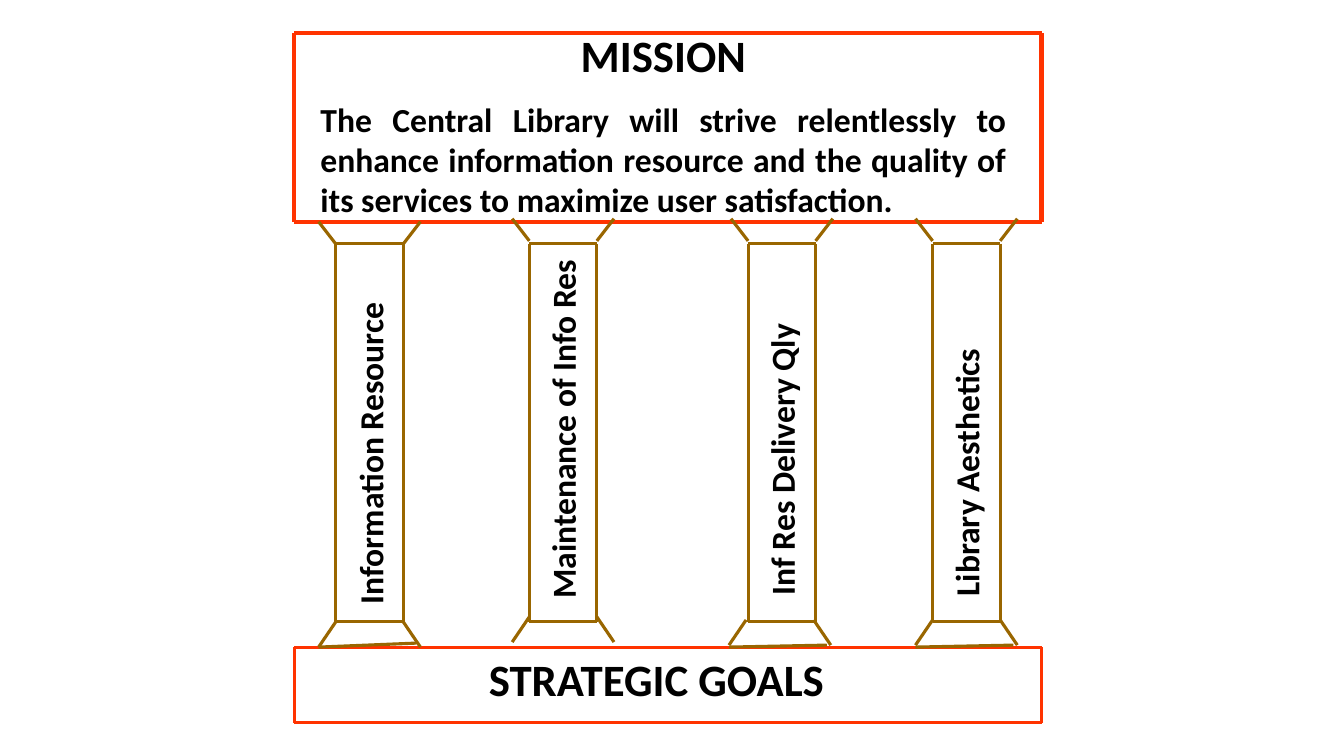
from pptx import Presentation
from pptx.dml.color import RGBColor
from pptx.enum.shapes import MSO_CONNECTOR
from pptx.enum.text import MSO_AUTO_SIZE, PP_ALIGN
from pptx.oxml.ns import qn
from pptx.util import Inches, Pt
from lxml import etree

STRAIGHT = MSO_CONNECTOR.STRAIGHT
LEFT, CENTER, JUSTIFY = PP_ALIGN.LEFT, PP_ALIGN.CENTER, PP_ALIGN.JUSTIFY
FIT_SHAPE = MSO_AUTO_SIZE.SHAPE_TO_FIT_TEXT
RED = RGBColor(0xFF, 0x33, 0x00)
BROWN = RGBColor(0x99, 0x66, 0x00)
BLACK = RGBColor(0x00, 0x00, 0x00)
FONT = "Calibri"

PILLAR_W, PILLAR_TOP, PILLAR_BOTTOM = 0.67, 2.42, 6.17
FLARE, CAP_H, FOOT_H = 0.17, 0.22, 0.25
LABEL_H = 0.5


class TempleSlide:
    """Draws the temple diagram with one shared style on one slide."""

    def __init__(self, prs):
        self.s = prs.slides.add_slide(prs.slide_layouts[6])

    def line(self, x1, y1, x2, y2, color, width):
        c = self.s.shapes.add_connector(
            STRAIGHT, Inches(x1), Inches(y1), Inches(x2), Inches(y2))
        c.line.color.rgb = color
        c.line.width = Pt(width)
        etree.SubElement(c._element.spPr, qn("a:effectLst"))

    def box(self, left, top, right, bottom, color, width):
        for x in (left, right):
            self.line(x, top, x, bottom, color, width)
        for y in (top, bottom):
            self.line(left, y, right, y, color, width)

    def text(self, x, y, w, h, paragraphs, rotation=0, indent=0):
        sp = self.s.shapes.add_textbox(Inches(x), Inches(y), Inches(w), Inches(h))
        sp.rotation = rotation
        tf = sp.text_frame
        tf.word_wrap = True
        tf.auto_size = FIT_SHAPE
        tf.margin_left = Inches(0.1 + indent)
        for i, (words, size, align, before) in enumerate(paragraphs):
            p = tf.add_paragraph() if i else tf.paragraphs[0]
            p.alignment = align
            if before:
                p.space_before = Pt(before)
            r = p.add_run()
            r.text = words
            r.font.name = FONT
            r.font.size = Pt(size)
            r.font.bold = True
            r.font.color.rgb = BLACK

    def pillar(self, x, cap_y, foot_y, foot_shift, base_rise):
        right = x + PILLAR_W
        self.box(x, PILLAR_TOP, right, PILLAR_BOTTOM, BROWN, 2.25)
        for edge, out in ((x, -FLARE), (right, FLARE)):
            self.line(edge + out, cap_y, edge, cap_y + CAP_H, BROWN, 2.25)
            foot = edge + foot_shift
            self.line(foot, foot_y, foot + out, foot_y + FOOT_H, BROWN, 2.25)
        if base_rise:
            start = x + foot_shift - FLARE
            self.line(start, 6.42, start + 0.97, 6.42 - base_rise, BROWN, 2.25)

    def label(self, words, center_x, center_y, length, indent):
        self.text(center_x - length / 2, center_y - LABEL_H / 2, length, LABEL_H,
                  [(words, 24, LEFT, 0)], 270, indent)


def main():
    prs = Presentation()
    prs.slide_width, prs.slide_height = Inches(13.33), Inches(7.5)
    temple = TempleSlide(prs)

    temple.box(2.92, 0.33, 10.33, 2.2, RED, 3)
    temple.text(3.08, 0.23, 7, 2.03, [
        ("MISSION", 32, CENTER, 0),
        ("The Central Library will strive relentlessly to enhance information "
         "resource and the quality of its services to maximize user satisfaction.",
         24, JUSTIFY, 12)])
    temple.box(2.92, 6.42, 10.33, 7.17, RED, 2.25)
    temple.text(4.75, 6.42, 3.83, 0.63, [("STRATEGIC GOALS", 32, LEFT, 0)])

    for pillar in ((3.33, 2.2, 6.17, 0, 0.04),
                   (5.25, 2.17, 6.12, 0, 0),
                   (7.42, 2.17, 6.15, -0.02, 0.02),
                   (9.25, 2.17, 6.15, 0, 0.02)):
        temple.pillar(*pillar)

    for label in (("Information Resource", 3.67, 4.38, 3.42, 0),
                  ("Maintenance of Info Res", 5.58, 4.23, 3.78, 0.08),
                  ("Inf Res Delivery Qly", 7.75, 4.21, 3.75, 0.08),
                  ("Library Aesthetics", 9.58, 4.29, 3.75, 0.15)):
        temple.label(*label)

    prs.save("out.pptx")


if __name__ == "__main__":
    main()
